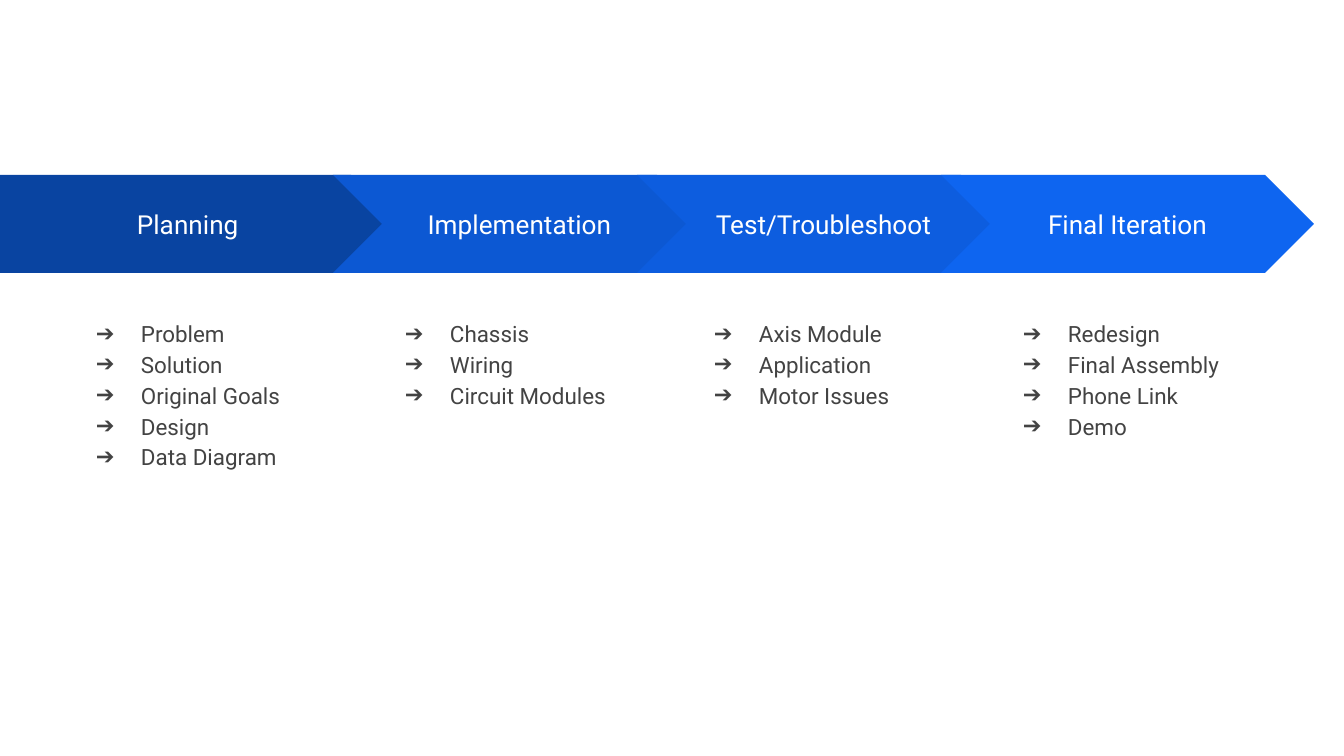
from lxml import etree
from pptx import Presentation
from pptx.dml.color import RGBColor
from pptx.enum.shapes import MSO_SHAPE
from pptx.enum.text import MSO_ANCHOR, PP_ALIGN
from pptx.oxml.ns import qn
from pptx.util import Emu, Pt

PENTAGON = MSO_SHAPE.PENTAGON
CHEVRON = MSO_SHAPE.CHEVRON
MIDDLE = MSO_ANCHOR.MIDDLE
TOP = MSO_ANCHOR.TOP
CENTER = PP_ALIGN.CENTER

SLIDE_WIDTH, SLIDE_HEIGHT = 1344, 756
EMU_PER_PX = 9144000 / SLIDE_WIDTH
FONT = "Roboto"
INSET = 13
ARROW_TOP, ARROW_HEIGHT = 175, 98
FIRST_ARROW_WIDTH, CHEVRON_WIDTH = 400, 373
CHEVRON_START, CHEVRON_STEP = 333, 304
LIST_LEFT, LIST_STEP = 60, 309
LIST_TOP, LIST_WIDTH, LIST_HEIGHT = 303, 280, 384
LIST_INDENT, BULLET_HANG = 68, 45

COLORS = {
    "background": "FFFFFF",
    "label": "FFFFFF",
    "list": "434343",
    "Planning": "0944A1",
    "Implementation": "0C58D3",
    "Test/Troubleshoot": "0D5DDF",
    "Final Iteration": "0E65F0",
}

PHASES = {
    "Planning": ["Problem", "Solution", "Original Goals", "Design", "Data Diagram"],
    "Implementation": ["Chassis", "Wiring", "Circuit Modules"],
    "Test/Troubleshoot": ["Axis Module", "Application", "Motor Issues"],
    "Final Iteration": ["Redesign", "Final Assembly", "Phone Link", "Demo"],
}


def px(length):
    return Emu(round(length * EMU_PER_PX))


def color(name):
    return RGBColor.from_string(COLORS[name])


def format_frame(frame, anchor):
    frame.word_wrap = True
    frame.vertical_anchor = anchor
    frame.margin_left = frame.margin_right = px(INSET)
    frame.margin_top = frame.margin_bottom = px(INSET)


def add_run(paragraph, text, size, color_name):
    run = paragraph.add_run()
    run.text = text
    run.font.name = FONT
    run.font.size = Pt(size)
    run.font.color.rgb = color(color_name)


def add_bullet(paragraph):
    properties = paragraph._p.get_or_add_pPr()
    properties.set("marL", str(px(LIST_INDENT)))
    properties.set("indent", str(-px(BULLET_HANG)))
    bullet_color = etree.SubElement(properties, qn("a:buClr"))
    etree.SubElement(bullet_color, qn("a:srgbClr"), val=COLORS["list"])
    etree.SubElement(properties, qn("a:buFont"), typeface=FONT)
    etree.SubElement(properties, qn("a:buChar"), char="➔")


def add_arrow(shapes, kind, left, width, name):
    arrow = shapes.add_shape(kind, px(left), px(ARROW_TOP), px(width), px(ARROW_HEIGHT))
    arrow.adjustments[0] = 0.5
    arrow.shadow.inherit = False
    arrow.fill.solid()
    arrow.fill.fore_color.rgb = color(name)
    arrow.line.fill.background()
    format_frame(arrow.text_frame, MIDDLE)
    paragraph = arrow.text_frame.paragraphs[0]
    paragraph.alignment = CENTER
    add_run(paragraph, name, 14, "label")


def add_list(shapes, left, items):
    box = shapes.add_textbox(px(left), px(LIST_TOP), px(LIST_WIDTH), px(LIST_HEIGHT))
    frame = box.text_frame
    format_frame(frame, TOP)
    for index, item in enumerate(items):
        paragraph = frame.add_paragraph() if index else frame.paragraphs[0]
        add_bullet(paragraph)
        paragraph.line_spacing = 1.15
        add_run(paragraph, item, 12, "list")


def add_phase(slide, index, name, items):
    shapes = slide.shapes.add_group_shape().shapes
    if index == 0:
        add_arrow(shapes, PENTAGON, 0, FIRST_ARROW_WIDTH, name)
    else:
        left = CHEVRON_START + (index - 1) * CHEVRON_STEP
        add_arrow(shapes, CHEVRON, left, CHEVRON_WIDTH, name)
    add_list(shapes, LIST_LEFT + index * LIST_STEP, items)


def main():
    presentation = Presentation()
    presentation.slide_width = px(SLIDE_WIDTH)
    presentation.slide_height = px(SLIDE_HEIGHT)
    slide = presentation.slides.add_slide(presentation.slide_layouts[6])
    slide.background.fill.solid()
    slide.background.fill.fore_color.rgb = color("background")
    for index, (name, items) in enumerate(PHASES.items()):
        add_phase(slide, index, name, items)
    presentation.save("out.pptx")


if __name__ == "__main__":
    main()
